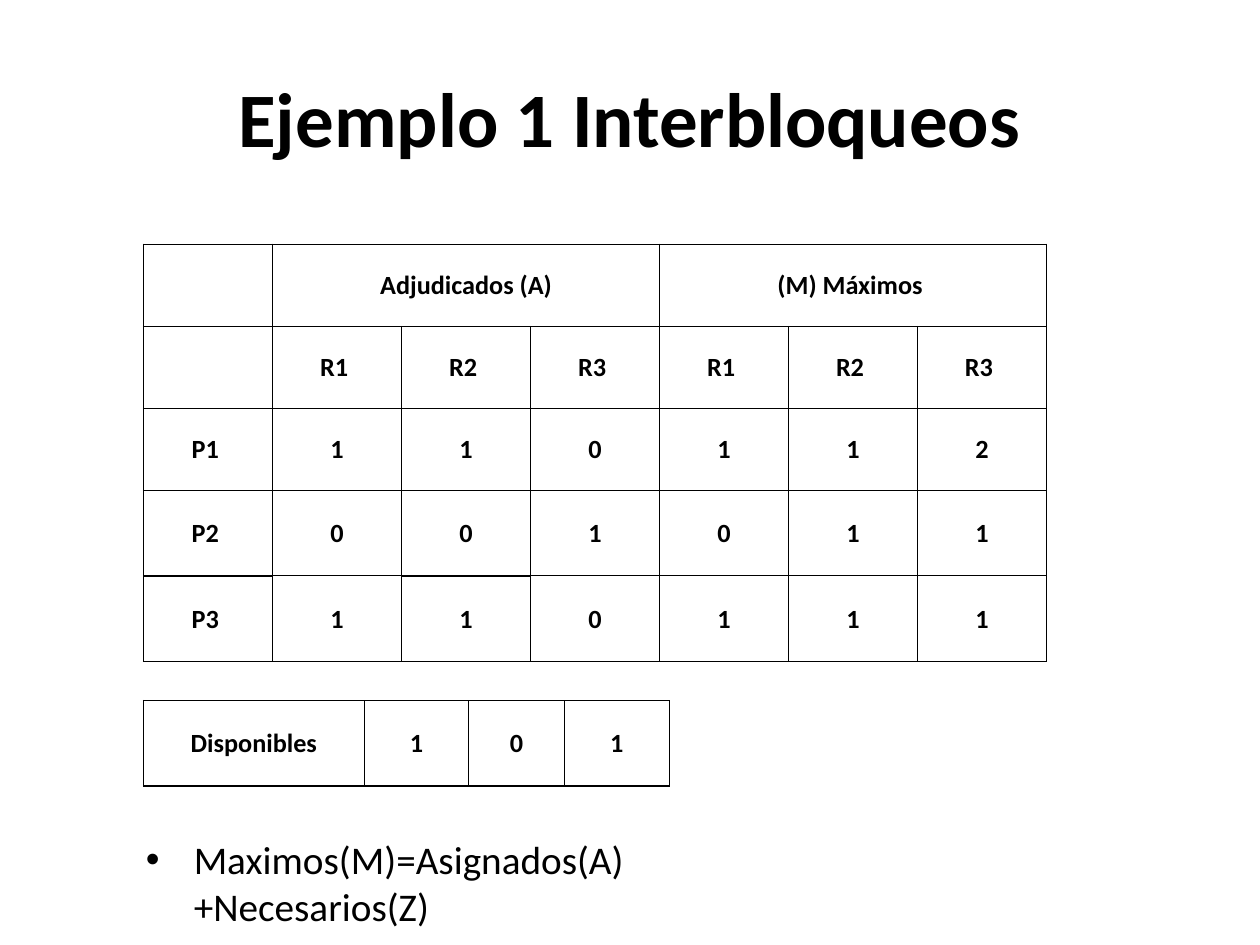
import pptx
import pptx.util
import pptx.dml.color
import pptx.enum.text
import pptx.oxml
import pptx.oxml.ns
from pptx.util import Inches

COLORS = {"text": "000000", "border": "000000"}
FONT = "Calibri"
ALIGN = pptx.enum.text.PP_ALIGN
ANCHOR = pptx.enum.text.MSO_ANCHOR
NS = pptx.oxml.ns.nsdecls("a")
THIN, HEAVY = pptx.util.Pt(0.5), pptx.util.Pt(1)


def write_text(tf, text, size=15, bold=False, align=ALIGN.CENTER, bullet=None, indent=0):
    """Put one formatted paragraph in a text frame."""
    p = tf.paragraphs[0]
    p.alignment = align
    if bullet:
        pPr = p._p.get_or_add_pPr()
        pPr.set("marL", str(Inches(indent)))
        pPr.set("indent", str(-Inches(indent)))
        pPr.append(pptx.oxml.parse_xml(f'<a:buFont {NS} typeface="Arial"/>'))
        pPr.append(pptx.oxml.parse_xml(f'<a:buChar {NS} char="{bullet}"/>'))
    r = p.add_run()
    r.text = text
    r.font.name = FONT
    r.font.size = pptx.util.Pt(size)
    r.font.bold = bold
    r.font.color.rgb = pptx.dml.color.RGBColor.from_string(COLORS["text"])


class SlideBuilder:
    def __init__(self, prs):
        self.s = prs.slides.add_slide(prs.slide_layouts[6])

    def text(self, box, text, anchor=ANCHOR.TOP, **fmt):
        tf = self.s.shapes.add_textbox(*map(Inches, box)).text_frame
        tf.word_wrap = True
        tf.vertical_anchor = anchor
        write_text(tf, text, **fmt)

    def borders(self, cell, heavy):
        """Rule all four sides; those named in heavy (l, r, t, b) are thicker."""
        tcPr = cell._tc.get_or_add_tcPr()
        for side in "lrtb":
            width = HEAVY if side in heavy else THIN
            tcPr.append(pptx.oxml.parse_xml(
                f'<a:ln{side.upper()} {NS} w="{width}"><a:solidFill>'
                f'<a:srgbClr val="{COLORS["border"]}"/></a:solidFill></a:ln{side.upper()}>'))

    def table(self, left, top, widths, heights, rows, heavy, merges=()):
        frame = self.s.shapes.add_table(
            len(rows), len(widths), Inches(left), Inches(top),
            Inches(sum(widths)), Inches(sum(heights)))
        table = frame.table
        table.first_row = table.horz_banding = False
        for column, width in zip(table.columns, widths):
            column.width = Inches(width)
        for row, height in zip(table.rows, heights):
            row.height = Inches(height)
        for i, (texts, edges) in enumerate(zip(rows, heavy)):
            for j, (text, sides) in enumerate(zip(texts, edges.split())):
                cell = table.cell(i, j)
                self.borders(cell, sides)
                cell.fill.background()
                cell.vertical_anchor = ANCHOR.MIDDLE
                cell.margin_left = cell.margin_right = cell.margin_top = Inches(0.01)
                cell.margin_bottom = 0
                if text:
                    write_text(cell.text_frame, text, bold=True)
        for row, first, last in merges:
            table.cell(row, first).merge(table.cell(row, last))


def main():
    prs = pptx.Presentation()
    prs.slide_width, prs.slide_height = Inches(10), Inches(7.5)
    slide = SlideBuilder(prs)

    # Title
    slide.text((0.5, 0.3, 9, 1.25), "Ejemplo 1 Interbloqueos",
               anchor=ANCHOR.MIDDLE, size=44, bold=True)

    # Allocated and maximum resources per process
    resources = ["R1 ", "R2 ", "R3 "]
    slide.table(
        1.14, 1.94, [1.024] * 7, [0.65] * 3 + [0.68] * 2,
        [["", "Adjudicados (A)", "", "", "(M) Máximos ", "", ""],
         ["", *resources, *resources],
         ["P1 ", *"110112"],
         ["P2 ", *"001011"],
         ["P3 ", *"110111"]],
        heavy=["ltr lt t t tr t tr",
               "lr l - - - - r",
               "lr l - - - - r",
               "lrb l b - - - r",
               "ltb rb ltrb lb b b rb"],
        merges=[(0, 1, 3), (0, 4, 6)])

    # Available resources
    slide.table(1.14, 5.56, [1.75, 0.83, 0.76, 0.83], [0.68],
                [["Disponibles", *"101"]], heavy=["ltb rb ltrb lb"])

    # Formula
    slide.text((1.06, 6.58, 5.83, 0.66), "Maximos(M)=Asignados(A)+Necesarios(Z)",
               size=22.4, align=ALIGN.LEFT, bullet="•", indent=0.38)

    prs.save("out.pptx")


if __name__ == "__main__":
    main()
